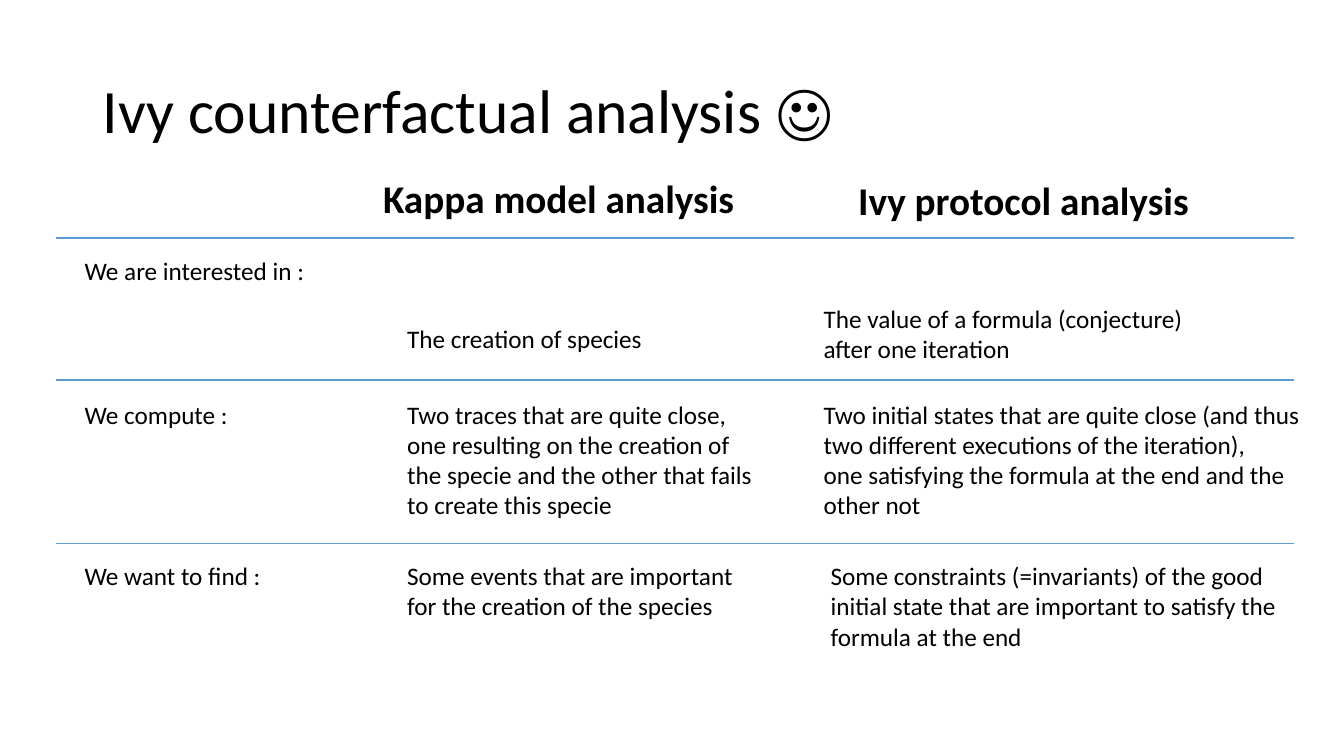
from pptx import Presentation
from pptx.dml.color import RGBColor
from pptx.enum.shapes import MSO_CONNECTOR
from pptx.enum.text import MSO_ANCHOR, MSO_AUTO_SIZE, PP_ALIGN
from pptx.oxml.ns import qn
from pptx.util import Emu, Pt
from lxml import etree

STRAIGHT = MSO_CONNECTOR.STRAIGHT
MIDDLE = MSO_ANCHOR.MIDDLE
NO_FIT, GROW = MSO_AUTO_SIZE.NONE, MSO_AUTO_SIZE.SHAPE_TO_FIT_TEXT
LEFT, CENTER = PP_ALIGN.LEFT, PP_ALIGN.CENTER
COLORS = {"ink": "000000", "rule": "5B9BD5"}
FONT = "Calibri"
EMU_PER_PX = 9144


def px(length):
    """Turn whole pixels, 100 to the inch, into EMU."""
    return Emu(length * EMU_PER_PX)


class SlideBuilder:
    """Hold the text style and the current slide, and add its elements."""

    def __init__(self, page):
        """Keep the slide to build on."""
        self.page = page

    def style(self, para, size, bold, align):
        """Format one paragraph."""
        para.alignment = align
        para.font.name = FONT
        para.font.size = Pt(size)
        para.font.bold = bold
        para.font.color.rgb = RGBColor.from_string(COLORS["ink"])

    def title(self, text, left, top, width, height):
        """Fill and place the title placeholder."""
        box = self.page.shapes.title
        box.left, box.top, box.width, box.height = map(px, (left, top, width, height))
        frame = box.text_frame
        frame.text = text
        frame.auto_size = NO_FIT
        frame.vertical_anchor = MIDDLE
        para = frame.paragraphs[0]
        para.line_spacing = 0.9
        self.style(para, 44, False, LEFT)

    def text(self, lines, left, top, width, height, size=18, bold=False, align=LEFT):
        """Add a wrapped text box with one paragraph per line."""
        box = self.page.shapes.add_textbox(*map(px, (left, top, width, height)))
        frame = box.text_frame
        frame.word_wrap = True
        frame.auto_size = GROW
        for index, line in enumerate(lines):
            para = frame.add_paragraph() if index else frame.paragraphs[0]
            para.text = line
            self.style(para, size, bold, align)

    def rule(self, left, right, y):
        """Add a thin horizontal line."""
        line = self.page.shapes.add_connector(STRAIGHT, px(right), px(y), px(left), px(y))
        line.line.color.rgb = RGBColor.from_string(COLORS["rule"])
        line.line.width = Pt(1)
        etree.SubElement(line._element.spPr, qn("a:effectLst"))


HEADINGS = [
    ("Kappa model analysis", 357, 168, 394),
    ("Ivy protocol analysis", 814, 170, 402),
]
ROW_LABELS = [
    ("We are interested in :", 248),
    ("We compute :", 391),
    ("We want to find :", 551),
]
CELLS = [
    (["The creation of species"], 394, 316, 356, 40),
    (["The value of a formula (conjecture)\nafter one iteration"], 807, 296, 475, 71),
    (["Two traces that are quite close,",
      "one resulting on the creation of the specie and the other that fails "
      "to create this specie"], 394, 391, 378, 131),
    (["Two initial states that are quite close (and thus two different executions "
      "of the iteration),\none satisfying the formula at the end and the other not"],
     807, 391, 498, 131),
    (["Some events that are important for the creation of the species"],
     394, 551, 356, 71),
    (["Some constraints (=invariants) of the good initial state that are important "
      "to satisfy the formula at the end"], 814, 551, 469, 101),
]
RULE_HEIGHTS = [539, 377, 236]


def main():
    """Build the comparison slide and save it."""
    deck = Presentation()
    deck.slide_width, deck.slide_height = px(1333), px(750)
    builder = SlideBuilder(deck.slides.add_slide(deck.slide_layouts[5]))
    builder.title("Ivy counterfactual analysis ☺", 92, 40, 1150, 145)
    for heading, left, top, width in HEADINGS:
        builder.text([heading], left, top, width, 57, size=28, bold=True, align=CENTER)
    for label, top in ROW_LABELS:
        builder.text([label], 74, top, 356, 40)
    for lines, left, top, width, height in CELLS:
        builder.text(lines, left, top, width, height)
    for y in RULE_HEIGHTS:
        builder.rule(56, 1283, y)
    deck.save("out.pptx")


if __name__ == "__main__":
    main()
